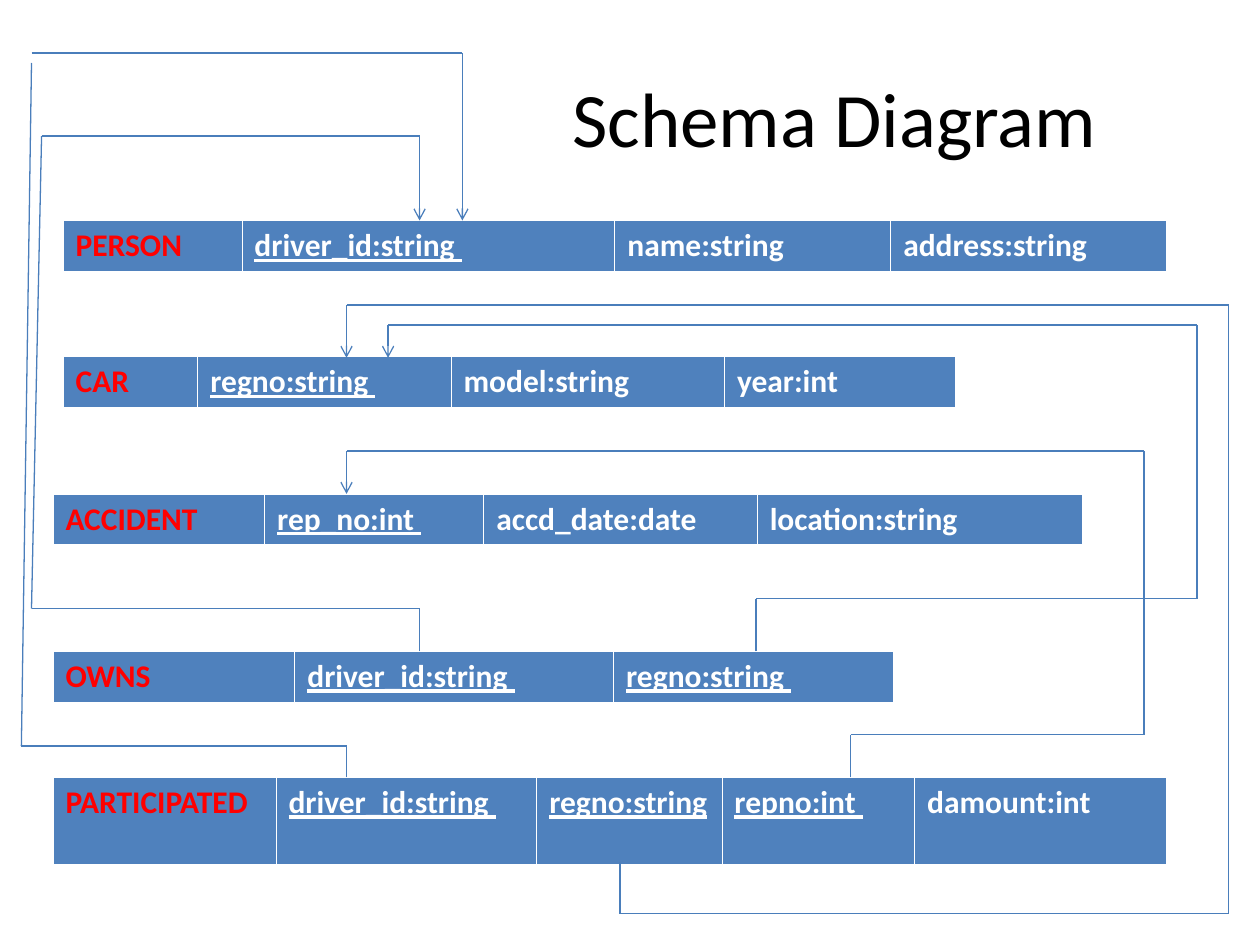
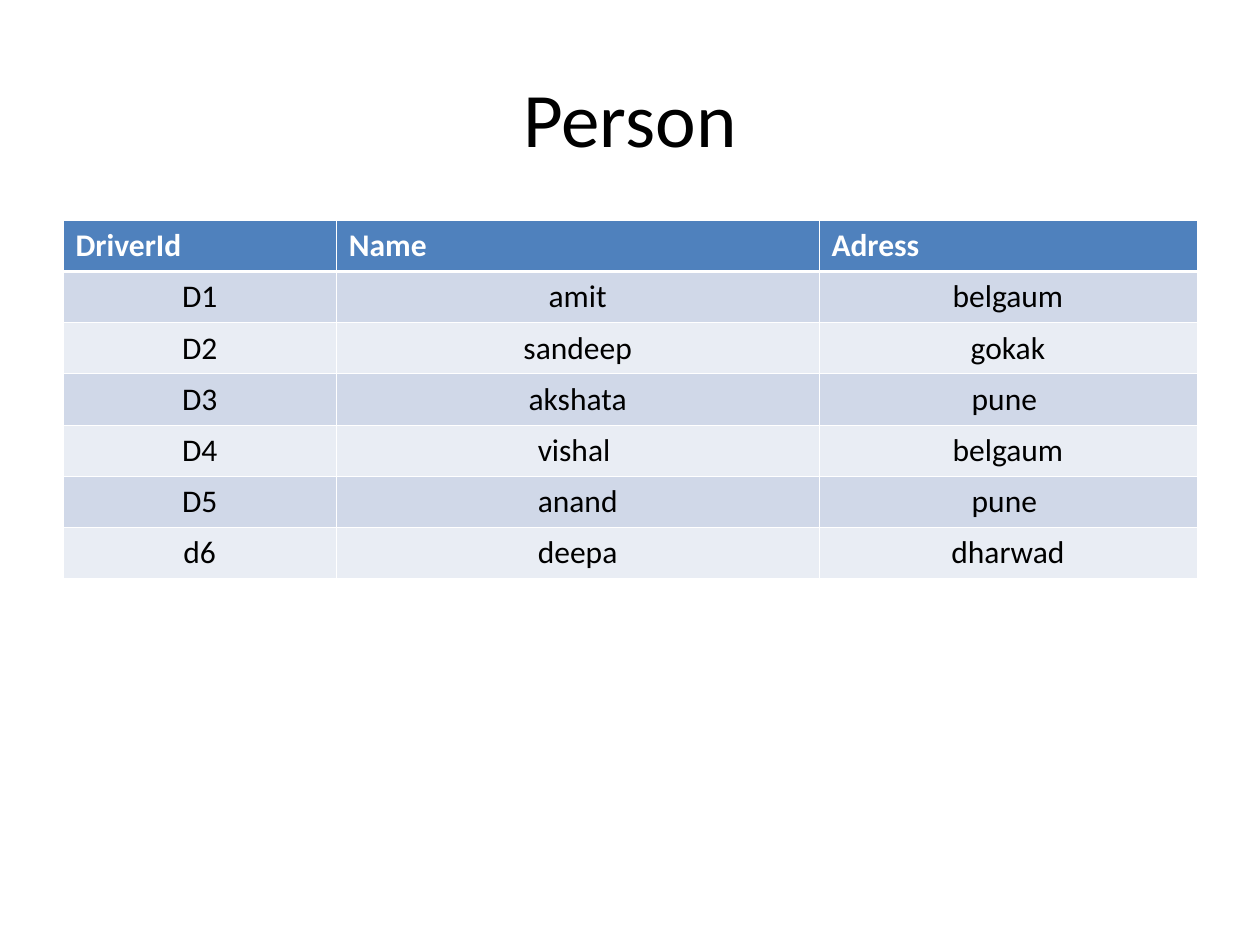
"""Build a relational schema diagram and its Person table."""
from dataclasses import dataclass
from itertools import pairwise

from lxml.etree import SubElement
from pptx import Presentation
from pptx.dml.color import RGBColor
from pptx.enum.shapes import MSO_CONNECTOR as Connector
from pptx.enum.text import MSO_ANCHOR as Anchor, PP_ALIGN as Align
from pptx.oxml import parse_xml
from pptx.oxml.ns import nsdecls, qn
from pptx.util import Inches, Pt


@dataclass(frozen=True)
class Theme:
    font: str = "Calibri"
    title_size: float = 44
    cell_size: float = 18
    text: str = "000000"
    header: str = "4F81BD"
    header_text: str = "FFFFFF"
    relation_name: str = "FF0000"
    bands: tuple = ("D0D8E8", "E9EDF4")
    border: str = "FFFFFF"
    thin: float = 0.45
    thick: float = 1.47
    link: str = "4A7EBB"
    link_width: float = 0.75


class Deck:
    def __init__(self, theme):
        self.theme = theme
        self.presentation = Presentation()
        self.presentation.slide_width = Inches(10)
        self.presentation.slide_height = Inches(7.5)
        self.slide = None

    def add_run(self, paragraph, text, size, color, bold=False, underline=False):
        run = paragraph.add_run()
        run.text = text
        font = run.font
        font.name, font.size = self.theme.font, Pt(size)
        font.bold, font.underline = bold, underline
        font.color.rgb = RGBColor.from_string(color)

    def add_slide(self, title, left, width):
        layout = self.presentation.slide_layouts[5]
        self.slide = self.presentation.slides.add_slide(layout)
        shape = self.slide.shapes.title
        shape.left, shape.top = Inches(left), Inches(0.3)
        shape.width, shape.height = Inches(width), Inches(1.25)
        shape.text_frame.vertical_anchor = Anchor.MIDDLE
        paragraph = shape.text_frame.paragraphs[0]
        paragraph.alignment = Align.CENTER
        self.add_run(paragraph, title, self.theme.title_size, self.theme.text)

    def add_table(self, left, top, widths, row_count, row_height):
        frame = self.slide.shapes.add_table(
            row_count, len(widths), Inches(left), Inches(top),
            Inches(sum(widths)), Inches(row_height * row_count))
        for column, width in zip(frame.table.columns, widths):
            column.width = Inches(width)
        return frame.table

    def fill_cell(self, cell, text, fill, color, align=Align.LEFT,
                  top=None, bottom=None, **style):
        cell.fill.solid()
        cell.fill.fore_color.rgb = RGBColor.from_string(fill)
        paragraph = cell.text_frame.paragraphs[0]
        paragraph.alignment = align
        self.add_run(paragraph, text, self.theme.cell_size, color, **style)
        thin = self.theme.thin
        sides = {"L": thin, "R": thin, "T": top or thin, "B": bottom or thin}
        properties = cell._tc.get_or_add_tcPr()
        for position, (side, width) in enumerate(sides.items()):
            properties.insert(position, parse_xml(
                f'<a:ln{side} {nsdecls("a")} w="{Pt(width)}"><a:solidFill>'
                f'<a:srgbClr val="{self.theme.border}"/></a:solidFill></a:ln{side}>'))

    def add_relation(self, left, top, widths, name, fields, key_count, height=0.41):
        theme = self.theme
        table = self.add_table(left, top, widths, 1, height)
        for index, text in enumerate((name, *fields)):
            color = theme.header_text if index else theme.relation_name
            self.fill_cell(table.cell(0, index), text, theme.header, color,
                           bottom=theme.thick, bold=True,
                           underline=1 <= index <= key_count)

    def add_records(self, left, top, widths, height, header, records):
        theme = self.theme
        row_count = len(records) + 1
        table = self.add_table(left, top, widths, row_count, height / row_count)
        for column, text in enumerate(header):
            self.fill_cell(table.cell(0, column), text, theme.header,
                           theme.header_text, bottom=theme.thick, bold=True)
        for row, record in enumerate(records):
            for column, text in enumerate(record):
                self.fill_cell(table.cell(row + 1, column), text,
                               theme.bands[row % 2], theme.text, Align.CENTER,
                               top=None if row else theme.thick)

    def add_route(self, points, arrow=True):
        for start, end in pairwise(points):
            connector = self.slide.shapes.add_connector(
                Connector.STRAIGHT, *(Inches(value) for value in start + end))
            connector.line.color.rgb = RGBColor.from_string(self.theme.link)
            connector.line.width = Pt(self.theme.link_width)
            SubElement(connector._element.spPr, qn("a:effectLst"))
        if arrow:
            SubElement(connector.line._get_or_add_ln(), qn("a:tailEnd"), type="arrow")


RELATIONS = [
    (0.5, 1.75, (1.42, 2.96, 2.19, 2.19), "PERSON",
     ("driver_id:string ", "name:string", "address:string"), 1),
    (0.5, 2.83, (1.07, 2.01, 2.17, 1.83), "CAR",
     ("regno:string ", "model:string", "year:int"), 1),
    (0.42, 3.92, (1.68, 1.74, 2.17, 2.58), "ACCIDENT",
     ("rep_no:int ", "accd_date:date", "location:string"), 1),
    (0.42, 5.17, (1.92, 2.53, 2.22), "OWNS",
     ("driver_id:string ", "regno:string "), 2),
    (0.42, 6.17, (1.77, 2.07, 1.47, 1.53, 2), "PARTICIPATED",
     ("driver_id:string ", "regno:string", "repno:int ", "damount:int"), 3, 0.7),
]

OWNS_TO_PERSON = [(3.33, 5.17), (3.33, 4.83), (0.25, 4.83),
                  (0.33, 1.08), (3.33, 1.08), (3.33, 1.75)]
PARTICIPATED_TO_MARGIN = [(2.75, 6.17), (2.75, 5.92), (0.17, 5.92), (0.25, 0.5)]
MARGIN_TO_PERSON = [(0.25, 0.42), (3.67, 0.42), (3.67, 1.75)]
PARTICIPATED_TO_CAR = [(4.92, 6.84), (4.92, 7.25), (9.75, 7.25),
                       (9.75, 2.42), (2.75, 2.42), (2.75, 2.84)]
OWNS_TO_CAR = [(6, 5.17), (6, 4.75), (9.5, 4.75),
               (9.5, 2.58), (3.08, 2.58), (3.08, 2.84)]
PARTICIPATED_TO_ACCIDENT = [(6.75, 6.17), (6.75, 5.83), (9.08, 5.83),
                            (9.08, 3.58), (2.75, 3.58), (2.75, 3.92)]

PERSONS = [
    ("D1", "amit", "belgaum"),
    ("D2", "sandeep", "gokak"),
    ("D3", "akshata", "pune "),
    ("D4", "vishal ", "belgaum"),
    ("D5", "anand", "pune "),
    ("d6", "deepa", "dharwad"),
]


def main():
    deck = Deck(Theme())

    deck.add_slide("Schema Diagram", 3.75, 5.75)
    for relation in RELATIONS:
        deck.add_relation(*relation)
    deck.add_route(PARTICIPATED_TO_MARGIN, arrow=False)
    for route in (OWNS_TO_PERSON, MARGIN_TO_PERSON, PARTICIPATED_TO_CAR,
                  OWNS_TO_CAR, PARTICIPATED_TO_ACCIDENT):
        deck.add_route(route)

    deck.add_slide("Person", 0.5, 9)
    deck.add_records(0.5, 1.75, (2.17, 3.83, 3), 2.84,
                     ("DriverId", "Name", "Adress"), PERSONS)

    deck.presentation.save("out.pptx")


if __name__ == "__main__":
    main()
